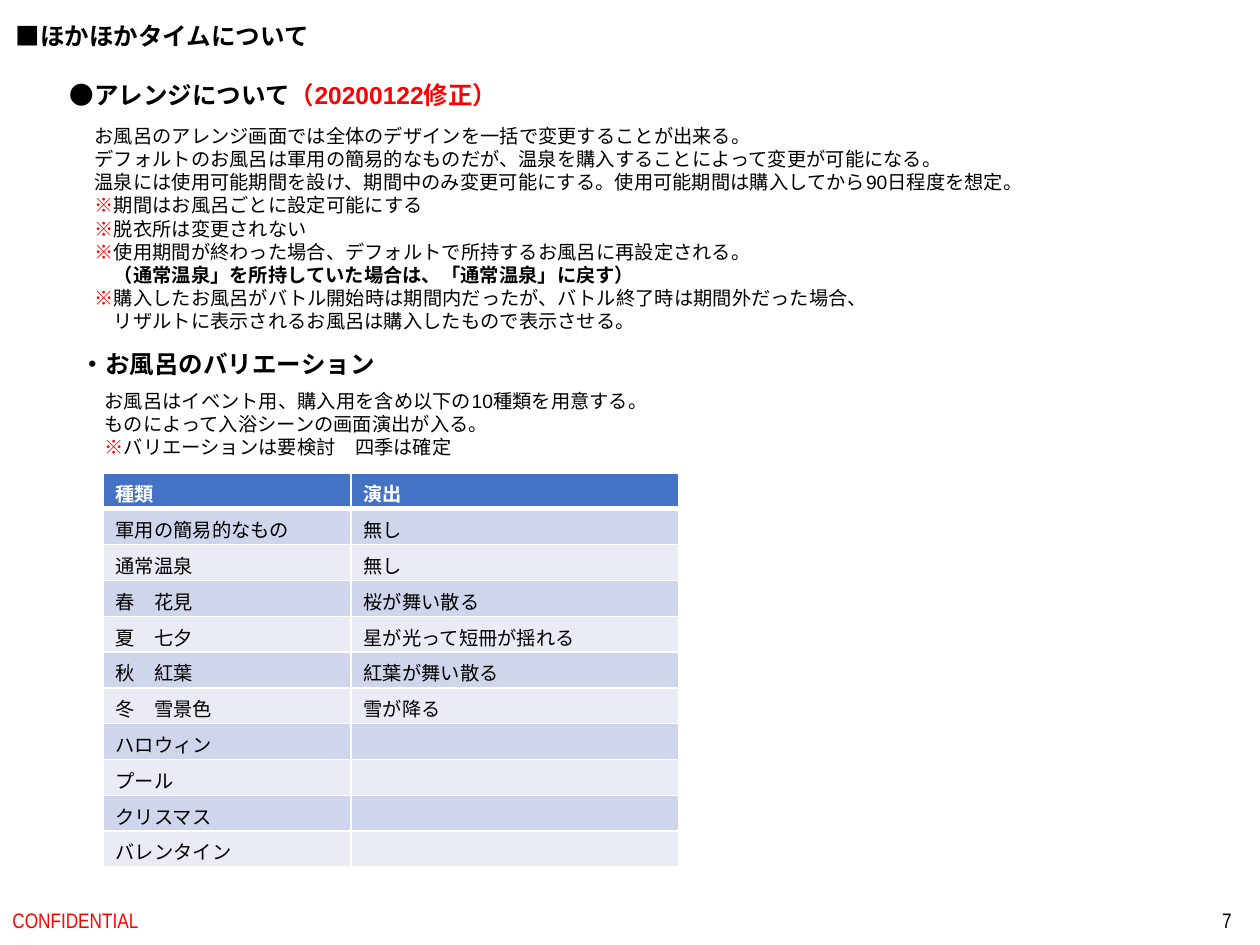
"""Build the slide on bath arrangements and their variations."""
from lxml.etree import SubElement
from pptx import Presentation
from pptx.dml.color import RGBColor
from pptx.enum.text import MSO_ANCHOR, MSO_AUTO_SIZE, PP_ALIGN
from pptx.oxml.ns import qn
from pptx.util import Emu, Pt

BLACK = RGBColor(0x00, 0x00, 0x00)
RED = RGBColor(0xFF, 0x00, 0x00)
WHITE = RGBColor(0xFF, 0xFF, 0xFF)
HEADER = RGBColor(0x44, 0x72, 0xC4)
BANDS = (RGBColor(0xE9, 0xEB, 0xF5), RGBColor(0xCF, 0xD5, 0xEA))

SPARTAN = {"font": "League Spartan"}
MARK = ("※", {"color": RED})

TITLE = [[("■ほかほかタイムについて", {})]]
ARRANGE_HEAD = [[("●アレンジについて", {}), ("（20200122修正）", {"color": RED})]]
ARRANGE = [
    [("お風呂のアレンジ画面では全体のデザインを一括で変更することが出来る。", {})],
    [("デフォルトのお風呂は軍用の簡易的なものだが、温泉を購入することによって変更が可能になる。", {})],
    [("温泉には使用可能期間を設け、期間中のみ変更可能にする。使用可能期間は購入してから90日程度を想定。", {})],
    [MARK, ("期間はお風呂ごとに設定可能にする", {})],
    [MARK, ("脱衣所は変更されない", {})],
    [MARK, ("使用期間が終わった場合、デフォルトで所持するお風呂に再設定される。", SPARTAN)],
    [("　", SPARTAN), ("（通常温泉」を所持していた場合は、「通常温泉」に戻す）", {"bold": True, **SPARTAN})],
    [MARK, ("購入したお風呂がバトル開始時は期間内だったが、バトル終了時は期間外だった場合、", SPARTAN)],
    [("　リザルトに表示されるお風呂は購入したもので表示させる。", SPARTAN)],
]
VARIATION_HEAD = [[("・お風呂のバリエーション", {})]]
VARIATION = [
    [("お風呂はイベント用、購入用を含め以下の10種類を用意する。", {})],
    [("ものによって入浴シーンの画面演出が入る。", SPARTAN)],
    [MARK, ("バリエーションは要検討　四季は確定", {})],
]
HEADING = {"size": 14, "bold": True}
PLACEHOLDERS = [
    (0, (3, 15, 323, 43), TITLE, HEADING),
    (1, (57, 74, 481, 43), ARRANGE_HEAD, HEADING),
    (2, (82, 118, 964, 223), ARRANGE, {}),
    (3, (68, 343, 323, 43), VARIATION_HEAD, HEADING),
    (4, (92, 383, 575, 83), VARIATION, {}),
]
FOOTERS = [
    ("CONFIDENTIAL", (0, 895, 426, 50), RED, PP_ALIGN.LEFT),
    ("7", (960, 895, 284, 50), BLACK, PP_ALIGN.RIGHT),
]
TABLE = [
    ("種類", "演出"),
    ("軍用の簡易的なもの", "無し"),
    ("通常温泉", "無し"),
    ("春　花見", "桜が舞い散る"),
    ("夏　七夕", "星が光って短冊が揺れる"),
    ("秋　紅葉", "紅葉が舞い散る"),
    ("冬　雪景色", "雪が降る"),
    ("ハロウィン", ""),
    ("プール", ""),
    ("クリスマス", ""),
    ("バレンタイン", ""),
]
TABLE_LEFT, TABLE_TOP, TABLE_HEIGHT = 103, 473, 394
COLUMNS = (248, 328)


def px(n):
    return Emu(round(n * 914400 / 126))


def write(p, text, size=11, font="Arial", color=BLACK, bold=False):
    r = p.add_run()
    r.text = text
    r.font.size = Pt(size)
    r.font.name = font
    r.font.color.rgb = color
    r.font.bold = bold


def fill_placeholder(sp, box, paragraphs, style):
    sp.left, sp.top, sp.width, sp.height = map(px, box)
    tf = sp.text_frame
    tf.word_wrap = False
    tf.auto_size = MSO_AUTO_SIZE.SHAPE_TO_FIT_TEXT
    tf.vertical_anchor = MSO_ANCHOR.TOP
    for i, runs in enumerate(paragraphs):
        p = tf.add_paragraph() if i else tf.paragraphs[0]
        pPr = p._p.get_or_add_pPr()
        pPr.set("marL", "0")
        pPr.set("indent", "0")
        SubElement(pPr, qn("a:buNone"))
        p.alignment = PP_ALIGN.LEFT
        p.space_before = Pt(0)
        for text, extra in runs:
            write(p, text, **{**style, **extra})


def add_footer(slide, text, box, color, align):
    sp = slide.shapes.add_textbox(*map(px, box))
    tf = sp.text_frame
    tf.word_wrap = True
    tf.vertical_anchor = MSO_ANCHOR.MIDDLE
    p = tf.paragraphs[0]
    p.alignment = align
    write(p, text, size=12, font="Arial Narrow", color=color)


def set_borders(cell, row):
    widths = {"lnL": 1, "lnR": 1, "lnT": 3 if row == 1 else 1, "lnB": 1 if row else 3}
    for side, width in widths.items():
        ln = SubElement(cell._tc.get_or_add_tcPr(), qn(f"a:{side}"), w=str(Pt(width)))
        fill = SubElement(ln, qn("a:solidFill"))
        SubElement(fill, qn("a:srgbClr"), val=str(WHITE))


def add_variations(slide):
    count = len(TABLE)
    frame = slide.shapes.add_table(count, len(COLUMNS), px(TABLE_LEFT), px(TABLE_TOP),
                                   px(sum(COLUMNS)), px(TABLE_HEIGHT))
    table = frame.table
    for column, width in zip(table.columns, COLUMNS):
        column.width = px(width)
    for i, texts in enumerate(TABLE):
        table.rows[i].height = px(TABLE_HEIGHT / count)
        for j, text in enumerate(texts):
            cell = table.cell(i, j)
            set_borders(cell, i)
            cell.fill.solid()
            cell.fill.fore_color.rgb = BANDS[i % 2] if i else HEADER
            p = cell.text_frame.paragraphs[0]
            if text:
                write(p, text, font="League Spartan" if j else "Arial",
                      color=BLACK if i else WHITE, bold=i == 0)
            else:
                SubElement(p._p, qn("a:endParaRPr"), sz="1100")


def main():
    prs = Presentation()
    prs.slide_width, prs.slide_height = px(1260), px(945)
    slide = prs.slides.add_slide(prs.slide_layouts.get_by_name("Comparison"))
    for idx, box, paragraphs, style in PLACEHOLDERS:
        fill_placeholder(slide.placeholders[idx], box, paragraphs, style)
    for footer in FOOTERS:
        add_footer(slide, *footer)
    add_variations(slide)
    prs.save("out.pptx")


if __name__ == "__main__":
    main()
